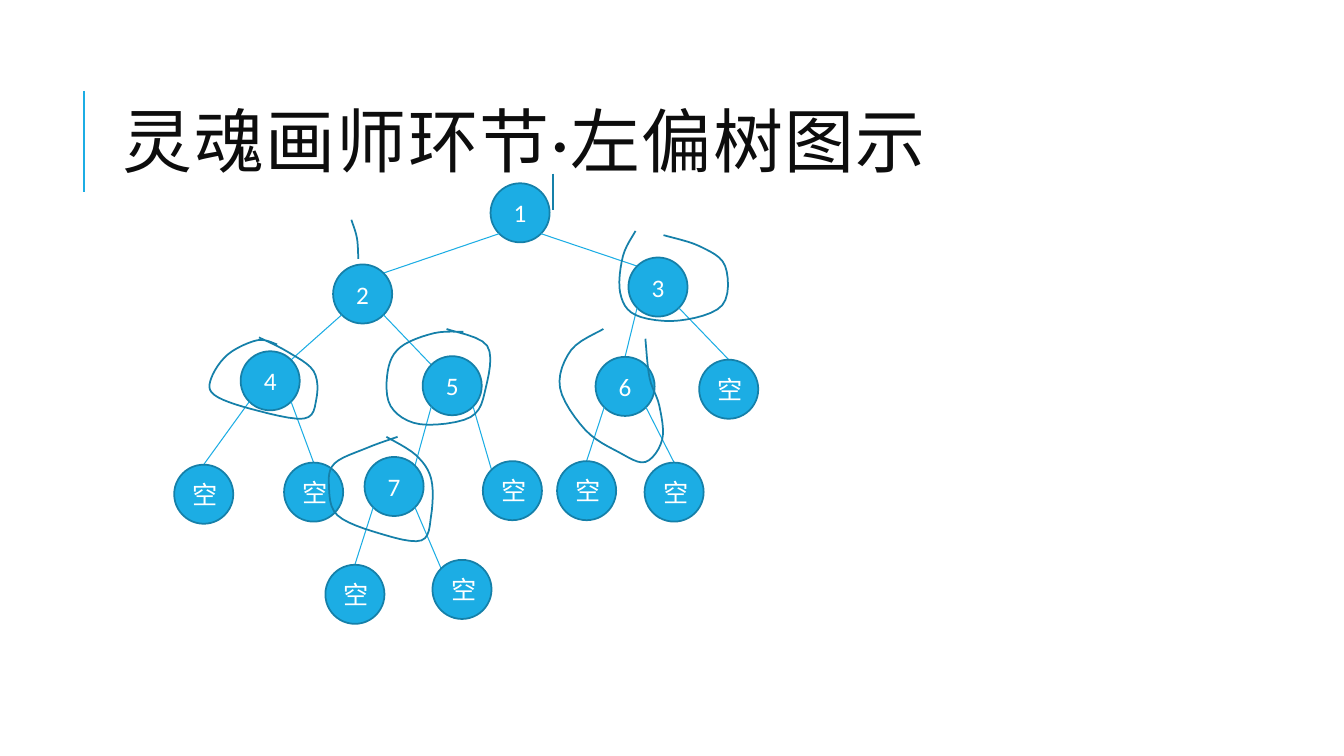
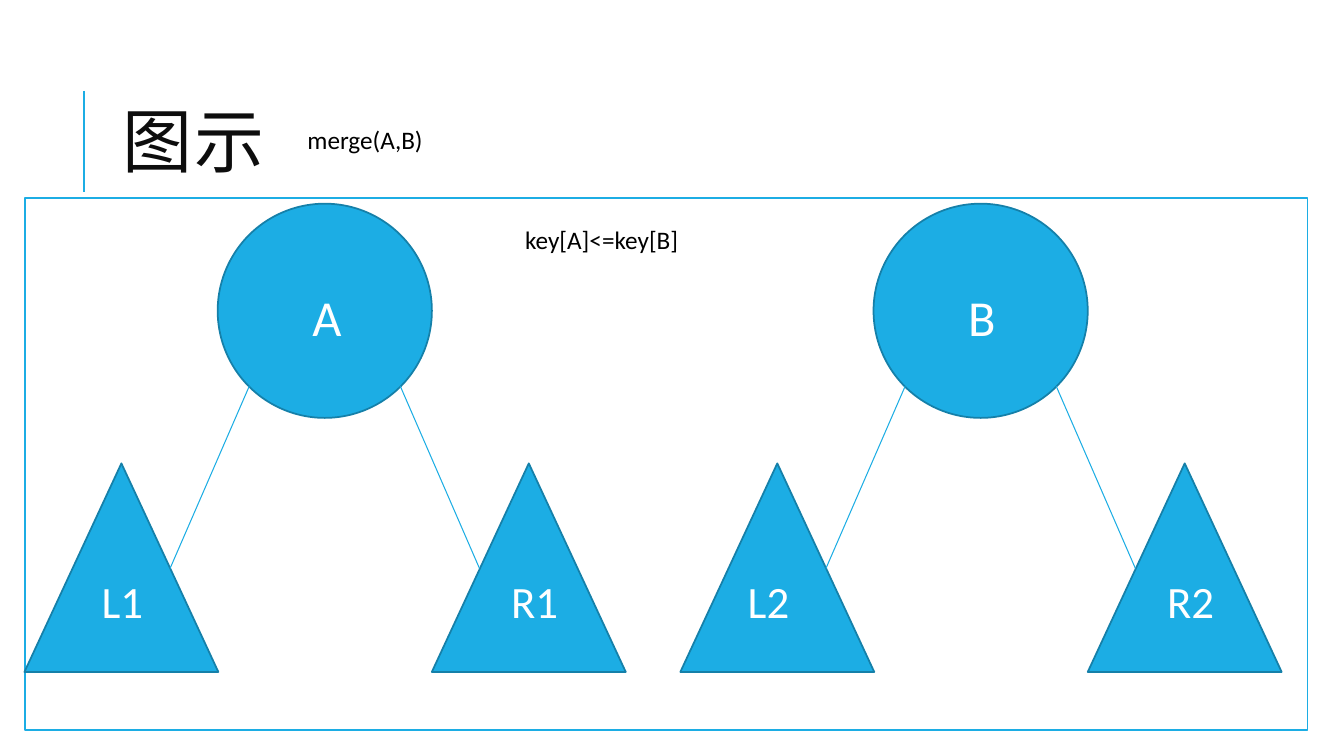
from dataclasses import dataclass
from math import sqrt

from lxml.etree import SubElement
from pptx import Presentation
from pptx.dml.color import RGBColor as RGB
from pptx.enum.shapes import MSO_CONNECTOR as LINK, MSO_SHAPE as KIND
from pptx.enum.text import MSO_ANCHOR as ANCHOR, MSO_AUTO_SIZE as FIT, PP_ALIGN as ALIGN
from pptx.oxml.ns import qn
from pptx.util import Pt


@dataclass(frozen=True)
class Theme:
    font: str = "Calibri"
    blue: RGB = RGB.from_string("1CADE4")
    edge: RGB = RGB.from_string("1580A9")
    ink: RGB = RGB.from_string("0D0D0D")
    black: RGB = RGB.from_string("000000")
    white: RGB = RGB.from_string("FFFFFF")
    title: int = 50
    root: int = 36
    leaf: int = 32
    text: int = 18
    thin: float = 0.75
    rim: float = 1.25
    bar: float = 1.5


theme = Theme()


def line(slide, x1, y1, x2, y2, width=theme.thin):
    link = slide.shapes.add_connector(LINK.STRAIGHT, Pt(x1), Pt(y1), Pt(x2), Pt(y2))
    link.line.color.rgb = theme.blue
    link.line.width = Pt(width)
    SubElement(link._element.spPr, qn("a:effectLst"))


def form(slide, kind, x, y, w, h, fill=theme.blue, edge=theme.edge):
    shape = slide.shapes.add_shape(kind, Pt(x), Pt(y), Pt(w), Pt(h))
    shape.shadow.inherit = False
    shape.fill.solid()
    shape.fill.fore_color.rgb = fill
    shape.line.color.rgb = edge
    shape.line.width = Pt(theme.rim)
    return shape


deck = Presentation()
deck.slide_width, deck.slide_height = Pt(960), Pt(540)
plan = deck.slide_layouts[5]
head = plan.placeholders[0]
head.left, head.top, head.width, head.height = Pt(80.5), Pt(46), Pt(765.5), Pt(118)

pages = []
for name in ("灵魂画师环节·左偏树图示", "图示"):
    page = deck.slides.add_slide(plan)
    pages.append(page)
    line(page, 60, 65, 60, 137, theme.bar)
    frame = page.shapes.title.text_frame
    frame.text = name
    frame.auto_size = FIT.NONE
    frame.vertical_anchor = ANCHOR.MIDDLE
    para = frame.paragraphs[0]
    para.alignment = ALIGN.LEFT
    para.line_spacing = 0.8
    para.font.name = theme.font
    para.font.size = Pt(theme.title)
    para.font.color.rgb = theme.ink
    para.runs[0].font._element.set("spc", "100")
tree, merge = pages

# Parent, text, centre x and y, and where the edge meets the node.
nodes = [
    ("", "1", 371.5, 152, ""),
    ("1", "2", 259, 210, "corner"),
    ("1", "3", 470, 205, "corner"),
    ("2", "4", 193, 272, "corner"),
    ("2", "5", 323, 275.5, "corner"),
    ("3", "6", 446.5, 276, "top"),
    ("5", "7", 281.5, 347.5, "corner"),
    ("3", "空", 520.5, 278, "top"),
    ("4", "空", 145.5, 353, "top"),
    ("4", "空", 224, 351.5, "top"),
    ("5", "空", 366, 350.5, "corner"),
    ("6", "空", 419, 350.5, "top"),
    ("6", "空", 481.5, 351.5, "top"),
    ("7", "空", 253.5, 424.5, "top"),
    ("7", "空", 330, 421, "corner"),
]
size = 42.2
rad = size / 2
diag = rad / sqrt(2)
spots = {}
for up, text, x, y, end in nodes:
    if up:
        px, py = spots[up]
        side = 1 if x > px else -1
        tip = (x, y - rad) if end == "top" else (x - side * diag, y - diag)
        line(tree, px + side * diag, py + diag, *tip)
    spots[text] = x, y
    ball = form(tree, KIND.OVAL, x - rad, y - rad, size, size)
    ball.text_frame.text = text
    ball.text_frame.vertical_anchor = ANCHOR.MIDDLE
    para = ball.text_frame.paragraphs[0]
    para.alignment = ALIGN.CENTER
    para.font.name = theme.font
    para.font.size = Pt(theme.text)
    para.font.color.rgb = theme.white

strokes = [
    [(198, 246), (184, 243), (163, 253), (151, 270), (153, 282), (179, 292),
     (217, 299), (226, 285), (224, 265), (205, 251), (185, 241)],
    [(284, 312), (262, 320), (239, 331), (235, 347), (241, 368), (271, 381),
     (301, 386), (308, 368), (308, 342), (297, 325), (276, 312)],
    [(331, 237), (310, 238), (286, 248), (277, 265), (279, 290), (300, 303),
     (336, 298), (347, 277), (348, 247), (319, 235)],
    [(431, 235), (408, 250), (400, 277), (418, 307), (442, 323), (461, 330),
     (473, 314), (471, 290), (464, 270), (461, 242)],
    [(454, 165), (445, 183), (443, 209), (454, 225), (485, 229), (516, 218),
     (518, 190), (500, 176), (474, 168)],
    [(251, 157), (255, 170), (256, 185)],
    [(395, 124), (395, 150)],
]
steps = 6
for dots in strokes:
    # A Catmull-Rom curve rounds the pen strokes.
    ends = [dots[0], *dots, dots[-1]]
    curve = []
    for quad in zip(ends, ends[1:], ends[2:], ends[3:]):
        for step in range(1, steps + 1):
            t = step / steps
            curve.append(tuple(
                Pt(b + t * (c - a + t * (2 * a - 5 * b + 4 * c - d
                                         + t * (3 * b - a - 3 * c + d))) / 2)
                for a, b, c, d in zip(*quad)))
    pen = tree.shapes.build_freeform(Pt(dots[0][0]), Pt(dots[0][1]))
    pen.add_line_segments(curve, close=False)
    mark = pen.convert_to_shape()
    mark.shadow.inherit = False
    mark.fill.background()
    mark.line.color.rgb = theme.edge
    mark.line.width = Pt(theme.rim)

form(merge, KIND.RECTANGLE, 18, 141.3, 916, 380, theme.white, theme.blue)
labels = [
    ("key[A]<=key[B]", 368, 157, 316, theme.text, theme.black),
    ("merge(A,B)", 212.5, 85.5, 291, theme.text, theme.black),
]
for left, root, kids, gaps in ((18, "A", ("L1", "R1"), (48, 49.5)),
                               (486.5, "B", ("L2", "R2"), (41, 49.5))):
    mid = left + 214
    form(merge, KIND.FLOWCHART_CONNECTOR, mid - 76.5, 145.5, 153, 153)
    labels.append((root, mid - 16, 201, 70, theme.root, theme.white))
    for kid, gap, side in zip(kids, gaps, (-1, 1)):
        x = mid + side * 145.5 - 69
        form(merge, KIND.ISOSCELES_TRIANGLE, x, 331, 138.5, 149)
        line(merge, mid + side * 54, 276, mid + side * 110.5, 406)
        labels.append((kid, x + gap, 406, 73, theme.leaf, theme.white))

for text, x, y, w, points, tint in labels:
    frame = merge.shapes.add_textbox(Pt(x), Pt(y), Pt(w), Pt(points * 1.2 + 7.5)).text_frame
    frame.word_wrap = True
    frame.auto_size = FIT.SHAPE_TO_FIT_TEXT
    frame.text = text
    font = frame.paragraphs[0].font
    font.name = theme.font
    font.size = Pt(points)
    font.color.rgb = tint

deck.save("out.pptx")
